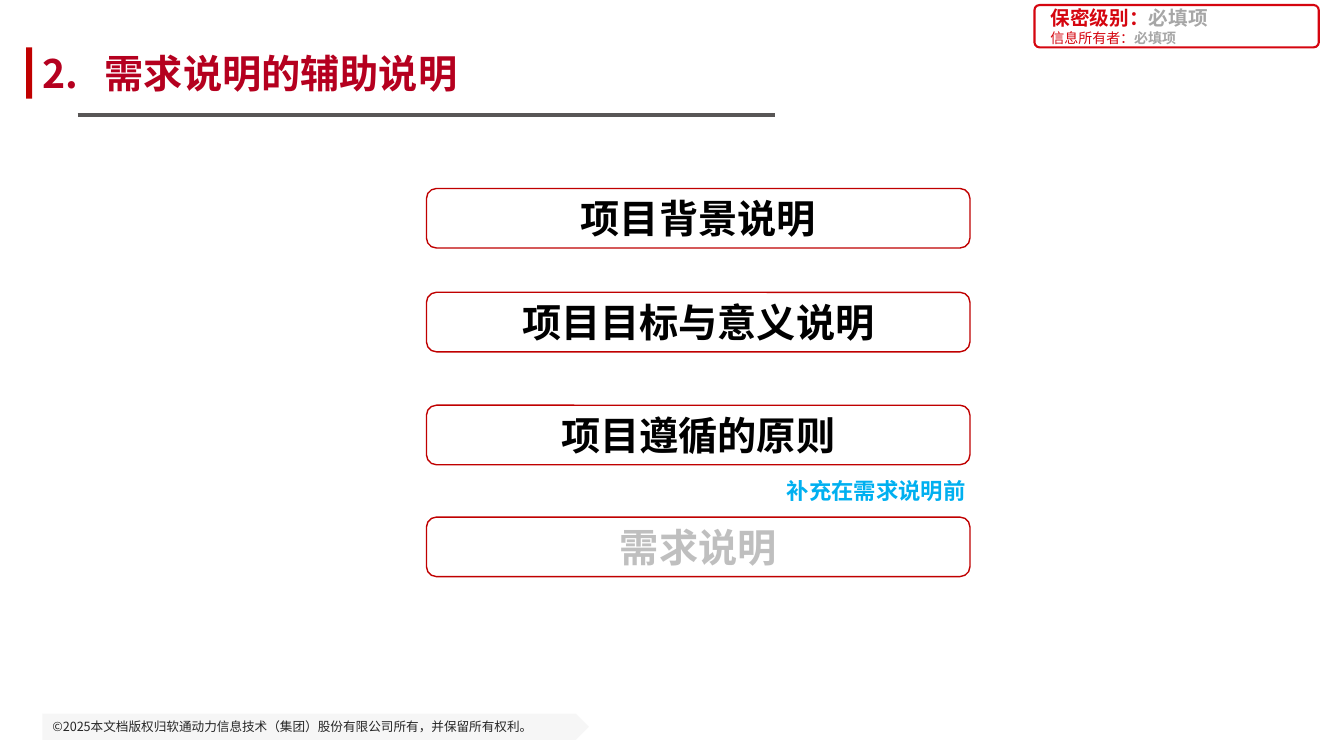
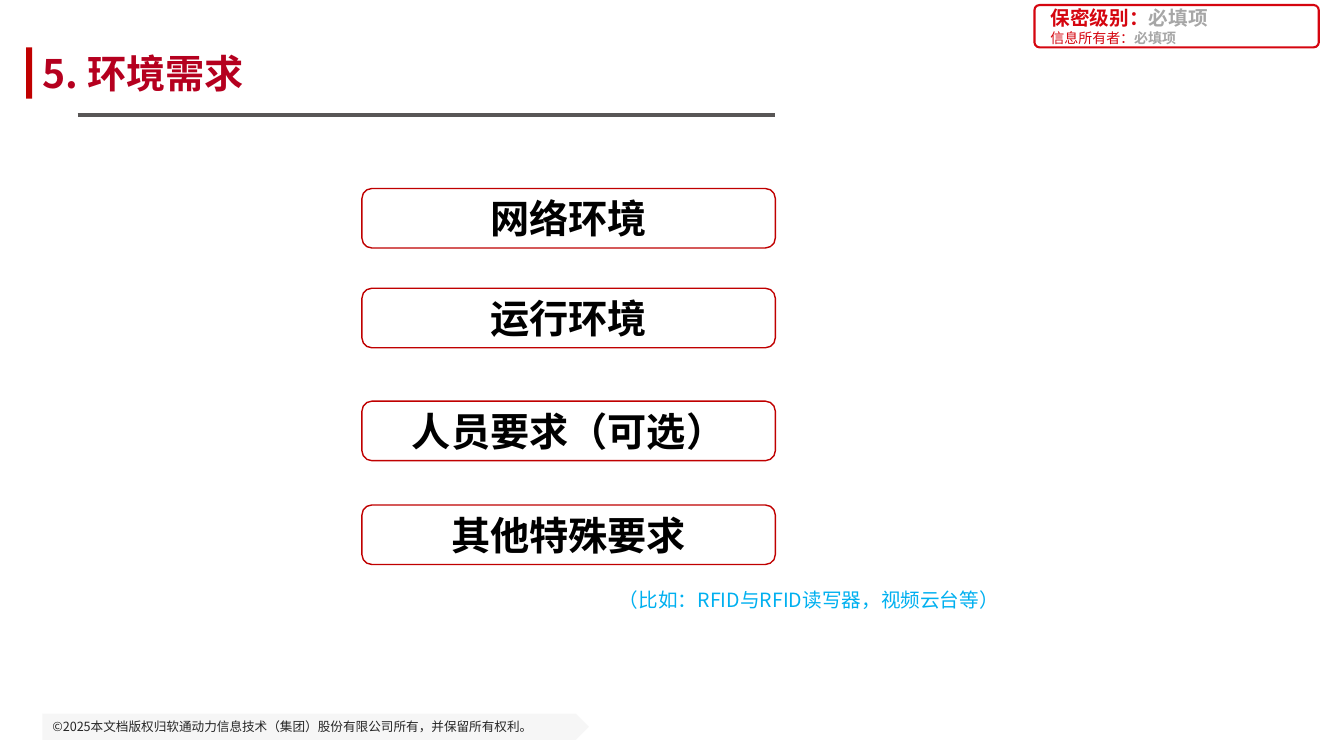
from lxml.etree import SubElement
from pptx import Presentation
from pptx.dml.color import RGBColor
from pptx.enum.shapes import MSO_CONNECTOR as Connector, MSO_SHAPE as Shape
from pptx.enum.text import MSO_ANCHOR as Anchor, PP_ALIGN as Align
from pptx.oxml.ns import qn
from pptx.util import Pt

PX = 9144
FONT = "Noto Sans CJK SC"
RED = RGBColor(0xC0, 0x00, 0x00)
TITLE_RED = RGBColor(0xB5, 0x00, 0x1F)
LABEL_RED = RGBColor(0xD5, 0x05, 0x0F)
BLACK = RGBColor(0x00, 0x00, 0x00)
INK = RGBColor(0x26, 0x26, 0x26)
RULE_GRAY = RGBColor(0x58, 0x56, 0x56)
HINT_GRAY = RGBColor(0xA6, 0xA6, 0xA6)
MUTED = RGBColor(0xBF, 0xBF, 0xBF)
BAND_GRAY = RGBColor(0xD5, 0xD5, 0xD5)
BLUE = RGBColor(0x00, 0xB0, 0xF0)


def px(*lengths):
    return [length * PX for length in lengths]


def style_paragraph(paragraph, size, color=None, bold=None, align=Align.LEFT):
    paragraph.alignment = align
    font = paragraph.font
    font.size, font.bold, font.name = Pt(size), bold, FONT
    if color is not None:
        font.color.rgb = color
    defaults = paragraph._p.pPr.find(qn("a:defRPr"))
    SubElement(defaults, qn("a:ea")).set("typeface", FONT)


def add_box(shapes, kind, box, fill=None, line=None, line_width=1):
    shape = shapes.add_shape(kind, *px(*box))
    shape.shadow.inherit = False
    if fill is None:
        shape.fill.background()
    else:
        shape.fill.solid()
        shape.fill.fore_color.rgb = fill
    if line is None:
        shape.line.fill.background()
    else:
        shape.line.color.rgb = line
        shape.line.width = Pt(line_width)
    return shape


def add_text(shapes, box, anchor=Anchor.TOP):
    frame = shapes.add_textbox(*px(*box)).text_frame
    frame.word_wrap = True
    frame.vertical_anchor = anchor
    return frame


def add_note(slide, box, text, size, bold=False, align=Align.LEFT):
    paragraph = add_text(slide.shapes, box).paragraphs[0]
    paragraph.text = text
    style_paragraph(paragraph, size, BLUE, bold, align)


def add_footer(slide, box):
    band = add_box(slide.shapes, Shape.PENTAGON, box, BAND_GRAY)
    color = band.fill._xPr.find(qn("a:solidFill"))[0]
    SubElement(color, qn("a:alpha")).set("val", "20000")
    band.text_frame.vertical_anchor = Anchor.MIDDLE
    paragraph = band.text_frame.paragraphs[0]
    paragraph.text = "©2025本文档版权归软通动力信息技术（集团）股份有限公司所有，并保留所有权利。"
    style_paragraph(paragraph, 9, INK)


def add_secrecy_label(slide, box):
    left, top, width, height = box
    shapes = slide.shapes.add_group_shape().shapes
    frame = add_box(shapes, Shape.ROUNDED_RECTANGLE, box, line=LABEL_RED, line_width=1.5)
    frame.adjustments[0] = 0.12
    rows = (("保密级别：", 14, True), ("信息所有者：", 10, False))
    for index, (caption, size, bold) in enumerate(rows):
        row_box = (left + 6, top + 3 + 20 * index, width - 14, 20)
        paragraph = add_text(shapes, row_box, Anchor.MIDDLE).paragraphs[0]
        style_paragraph(paragraph, size)
        for text, color, strong in ((caption, LABEL_RED, bold), ("必填项", HINT_GRAY, True)):
            run = paragraph.add_run()
            run.text = text
            run.font.color.rgb = color
            run.font.bold = strong


def add_title(slide, box, text, tab_stop):
    left, top, width, height = box
    add_box(slide.shapes, Shape.RECTANGLE, (left - 16, top + 5, 6, height - 10), RED)
    frame = add_text(slide.shapes, box, Anchor.MIDDLE)
    frame.margin_left = frame.margin_right = 0
    paragraph = frame.paragraphs[0]
    paragraph.text = text
    if tab_stop:
        tabs = SubElement(paragraph._p.get_or_add_pPr(), qn("a:tabLst"))
        tab = SubElement(tabs, qn("a:tab"))
        tab.set("pos", str(tab_stop * PX))
        tab.set("algn", "l")
    paragraph.space_after = Pt(6)
    style_paragraph(paragraph, 28, TITLE_RED, True)
    rule_top = top + height + 11
    rule = slide.shapes.add_connector(
        Connector.STRAIGHT, *px(left + 35, rule_top, left + 727, rule_top))
    rule.line.color.rgb = RULE_GRAY
    rule.line.width = Pt(3)
    SubElement(rule._element.spPr, qn("a:effectLst"))


def add_topics(slide, left, width, topics):
    for top, text, color in topics:
        card = add_box(slide.shapes, Shape.ROUNDED_RECTANGLE, (left, top, width, 59), line=RED)
        card.text_frame.vertical_anchor = Anchor.MIDDLE
        paragraph = card.text_frame.paragraphs[0]
        paragraph.text = text
        style_paragraph(paragraph, 28, color, True, Align.CENTER)


def add_topic_slide(presentation, title, left, width, topics, tab_stop=None):
    slide = presentation.slides.add_slide(presentation.slide_layouts[6])
    add_footer(slide, (42, 708, 542, 26))
    add_secrecy_label(slide, (1026, 5, 282, 42))
    add_title(slide, (42, 42, 957, 61), title, tab_stop)
    add_topics(slide, left, width, topics)
    return slide


def main():
    presentation = Presentation()
    presentation.slide_width, presentation.slide_height = px(1333, 750)

    support = add_topic_slide(presentation, "2.\t需求说明的辅助说明", 423, 539, (
        (187, "项目背景说明", BLACK),
        (290, "项目目标与意义说明", BLACK),
        (402, "项目遵循的原则", BLACK),
        (513, "需求说明", MUTED),
    ), tab_stop=62)
    add_note(support, (769, 468, 200, 37), "补充在需求说明前", 16, True, Align.CENTER)

    environment = add_topic_slide(presentation, "5. 环境需求", 359, 410, (
        (187, "网络环境", BLACK),
        (286, "运行环境", BLACK),
        (398, "人员要求（可选）", BLACK),
        (501, "其他特殊要求", BLACK),
    ))
    add_note(environment, (604, 578, 409, 34), "（比如：RFID与RFID读写器，视频云台等）", 14)

    presentation.save("out.pptx")


if __name__ == "__main__":
    main()
